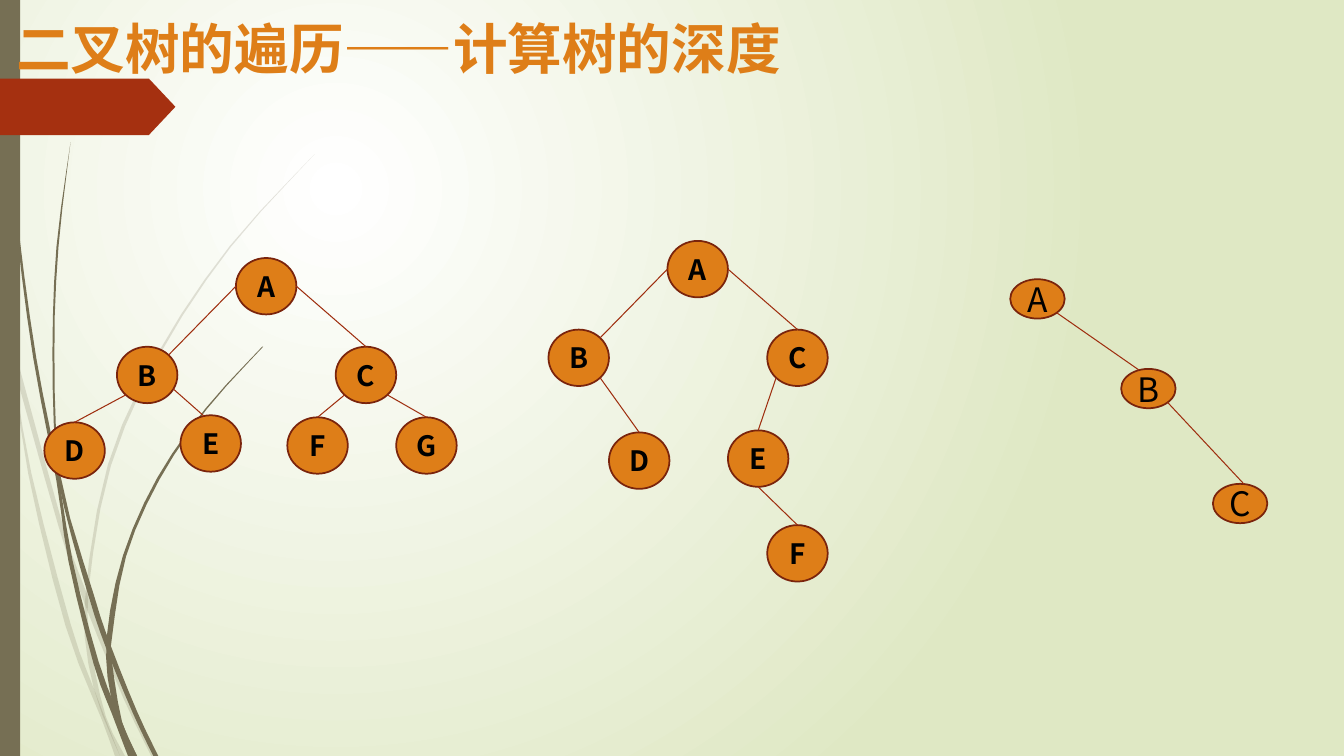
from math import cos, radians, sin

from lxml.etree import SubElement
from pptx import Presentation
from pptx.dml.color import RGBColor
from pptx.enum.shapes import MSO_CONNECTOR, MSO_SHAPE
from pptx.enum.text import MSO_ANCHOR, MSO_AUTO_SIZE, PP_ALIGN
from pptx.oxml import parse_xml
from pptx.oxml.ns import nsdecls, qn
from pptx.util import Inches, Pt

FONT = "Noto Sans CJK SC"
ORANGE = RGBColor(0xDE, 0x7E, 0x18)
BROWN = RGBColor(0x7A, 0x24, 0x0C)
RUST = RGBColor(0x9E, 0x2E, 0x0F)
RED = RGBColor(0xA5, 0x30, 0x10)
OLIVE = RGBColor(0x76, 0x6F, 0x54)
BLACK = RGBColor(0, 0, 0)

# Each blade has two edges: one runs down from the tip, the other back up.
FAINT = [
    ([(0, 2.82), (0.11, 3.5), (0.31, 4.69), (0.7, 6.19), (0.93, 6.83), (1.19, 7.5)],
     [(1.14, 7.5), (1.01, 7.14), (0.65, 6.21), (0.28, 4.7), (0.11, 3.5), (0, 2.99)]),
    ([(0.14, 3.45), (0.62, 5.2), (0.85, 5.86), (1.27, 6.92), (1.55, 7.5)],
     [(1.5, 7.5), (1.23, 6.94), (0.84, 5.99), (0.58, 5.22), (0.17, 3.76)]),
    ([(3.12, 1.53), (2.29, 2.45), (1.6, 3.49), (1.1, 4.62), (0.88, 5.84), (0.91, 6.46),
      (1.05, 7.11), (1.24, 7.5)],
     [(1.19, 7.5), (0.93, 6.83), (0.84, 5.99), (1.07, 4.61), (1.58, 3.48), (2.28, 2.44),
      (3.12, 1.53)]),
]
SOLID = [
    ([(0.04, 0), (0.08, 1.09), (0.19, 2.32), (0.36, 3.55), (0.55, 4.53), (0.72, 5.56),
      (0.98, 6.57), (1.22, 7.19), (1.36, 7.5)],
     [(1.27, 7.5), (1.11, 7.08), (0.93, 6.59), (0.68, 5.57), (0.56, 4.77), (0.33, 3.55),
      (0.17, 2.33), (0.07, 1.1), (0.03, 0)]),
    ([(0.7, 1.41), (0.58, 2.45), (0.54, 3.49), (0.6, 4.72), (0.93, 5.9), (1.1, 6.41),
      (1.36, 7.06), (1.57, 7.5)],
     [(1.52, 7.5), (1.32, 7.08), (1.06, 6.45), (0.88, 5.92), (0.64, 5.05), (0.55, 4.49),
      (0.52, 3.49), (0.56, 2.45), (0.7, 1.41)]),
    ([(2.61, 3.44), (2.05, 4.06), (1.58, 4.76), (1.25, 5.52), (1.11, 6.33), (1.11, 6.56),
      (1.21, 7.16), (1.36, 7.5)],
     [(1.31, 7.5), (1.1, 6.91), (1.06, 6.31), (1.22, 5.51), (1.56, 4.74), (2.04, 4.05),
      (2.6, 3.44)]),
]

# Nodes are offsets from the tree's corner; edges are (from, angle, to, angle) in degrees clockwise.
FULL = ({"A": (1.9, 0), "B": (0.72, 0.88), "C": (2.89, 0.88), "D": (0, 1.63),
         "E": (1.35, 1.56), "F": (2.41, 1.58), "G": (3.49, 1.58)},
        [("A", 180, "B", -45), ("A", 0, "C", -90), ("B", 135, "D", -90),
         ("B", 30, "E", -103), ("C", 135, "F", -90), ("C", 45, "G", -90)])
MIXED = ({"A": (1.18, 0), "B": (0, 0.88), "C": (2.17, 0.88), "D": (0.6, 1.9),
          "E": (1.78, 1.88), "F": (2.17, 2.82)},
         [("A", 180, "B", -45), ("A", 0, "C", -90), ("B", 45, "D", -90),
          ("C", 135, "E", -90), ("E", 90, "F", -90)])
CHAIN = ({"A": (0, 0), "B": (1.1, 0.89), "C": (2.01, 2.03)},
         [("A", 45, "B", -110), ("B", 45, "C", -82)])


def paint(shape, color):
    shape.shadow.inherit = False
    shape.fill.solid()
    shape.fill.fore_color.rgb = color
    shape.line.fill.background()


def write(frame, text, size, color, bold, align):
    para = frame.paragraphs[0]
    para.alignment = align
    run = para.add_run()
    run.text = text
    font = run.font
    font.size, font.bold, font.name = Pt(size), bold, FONT
    font.color.rgb = color
    SubElement(font._element, qn("a:ea")).set("typeface", FONT)


def smooth(knots, steps=3):
    """Run a Catmull-Rom curve through the knots, as points in EMU."""
    ends = [knots[0], *knots, knots[-1]]
    line = [knots[0]]
    for a, b, c, d in zip(ends, ends[1:], ends[2:], ends[3:]):
        for t in (k / steps for k in range(1, steps + 1)):
            line.append(tuple(
                q + t / 2 * (r - p + t * (2 * p - 5 * q + 4 * r - s + t * (3 * (q - r) + s - p)))
                for p, q, r, s in zip(a, b, c, d)))
    return [(Inches(x), Inches(y)) for x, y in line]


def add_grass(slide, blades, alpha):
    group = slide.shapes.add_group_shape()
    for down, back in blades:
        first, *rest = smooth(down) + smooth(back)
        pen = group.shapes.build_freeform(*first)
        pen.add_line_segments(rest, close=True)
        shape = pen.convert_to_shape()
        paint(shape, OLIVE)
        if alpha < 100:
            tint = shape.element.spPr.find(".//" + qn("a:srgbClr"))
            SubElement(tint, qn("a:alpha")).set("val", str(alpha * 1000))


def add_back(slide):
    slide.element.cSld.insert(0, parse_xml(
        f'<p:bg {nsdecls("p", "a")}><p:bgPr><a:gradFill rotWithShape="1"><a:gsLst>'
        '<a:gs pos="0"><a:srgbClr val="FFFFFF"/></a:gs>'
        '<a:gs pos="100000"><a:srgbClr val="DFE8C4"/></a:gs></a:gsLst><a:path path="circle">'
        '<a:fillToRect l="50000" t="50000" r="100000" b="100000"/></a:path>'
        '</a:gradFill><a:effectLst/></p:bgPr></p:bg>'))
    add_grass(slide, FAINT, 20)
    add_grass(slide, SOLID, 100)
    bar = slide.shapes.add_shape(MSO_SHAPE.RECTANGLE, 0, 0, Inches(0.2), Inches(7.5))
    paint(bar, OLIVE)
    flag = slide.shapes.add_shape(MSO_SHAPE.PENTAGON, 0, Inches(0.78), Inches(1.74), Inches(0.56))
    flag.adjustments[0] = 0.47
    paint(flag, RED)


def add_title(slide, x, y, w, h):
    title = slide.shapes.title
    title.left, title.top, title.width, title.height = map(Inches, (x, y, w, h))
    frame = title.text_frame
    frame.auto_size, frame.word_wrap = MSO_AUTO_SIZE.NONE, True
    frame.vertical_anchor = MSO_ANCHOR.MIDDLE
    write(frame, "二叉树的遍历——计算树的深度", 39, ORANGE, True, PP_ALIGN.LEFT)
    slide.shapes.element.append(title.element)


def add_tree(slide, x, y, tree, w=0.6, h=0.56, size=20, bold=True):
    nodes, edges = tree
    shapes = slide.shapes.add_group_shape().shapes

    def rim(name, angle):
        dx, dy = nodes[name]
        turn = radians(angle)
        return (Inches(x + dx + w / 2 * (1 + cos(turn))),
                Inches(y + dy + h / 2 * (1 + sin(turn))))

    for name, (dx, dy) in nodes.items():
        node = shapes.add_shape(MSO_SHAPE.OVAL, *map(Inches, (x + dx, y + dy, w, h)))
        paint(node, ORANGE)
        node.line.color.rgb, node.line.width = BROWN, Pt(1.25)
        frame = node.text_frame
        frame.margin_left = frame.margin_right = frame.margin_top = frame.margin_bottom = 0
        frame.vertical_anchor = MSO_ANCHOR.MIDDLE
        write(frame, name, size, BLACK, bold, PP_ALIGN.CENTER)
    for start, out, end, into in edges:
        edge = shapes.add_connector(MSO_CONNECTOR.STRAIGHT, *rim(start, out), *rim(end, into))
        edge.line.color.rgb, edge.line.width = RUST, Pt(0.75)
        SubElement(edge.element.spPr, qn("a:effectLst"))


def main():
    deck = Presentation()
    deck.slide_width, deck.slide_height = Inches(13.33), Inches(7.5)
    slide = deck.slides.add_slide(deck.slide_layouts[5])
    add_back(slide)
    add_title(slide, 0.06, 0.05, 9.57, 0.84)
    add_tree(slide, 0.44, 2.56, FULL)
    add_tree(slide, 5.44, 2.39, MIXED)
    add_tree(slide, 10.02, 2.77, CHAIN, 0.54, 0.39, 24, False)
    deck.save("out.pptx")


if __name__ == "__main__":
    main()
